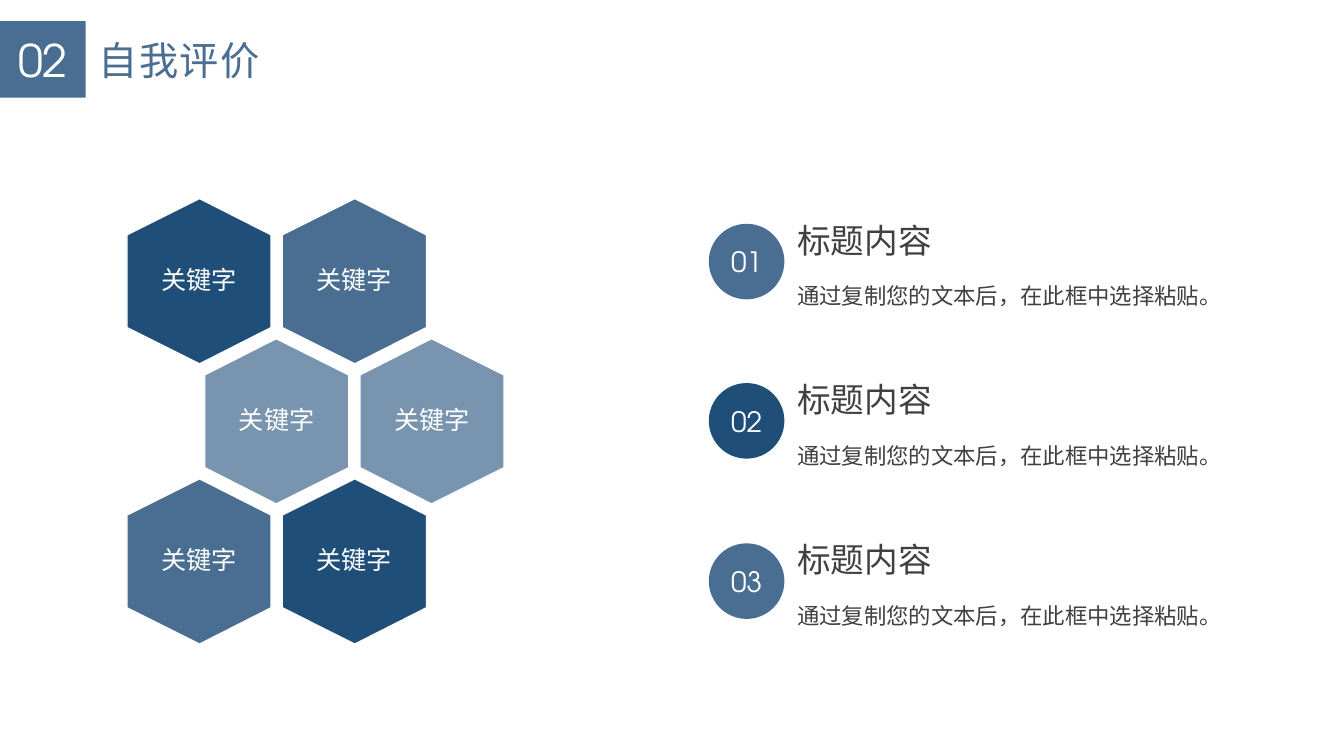
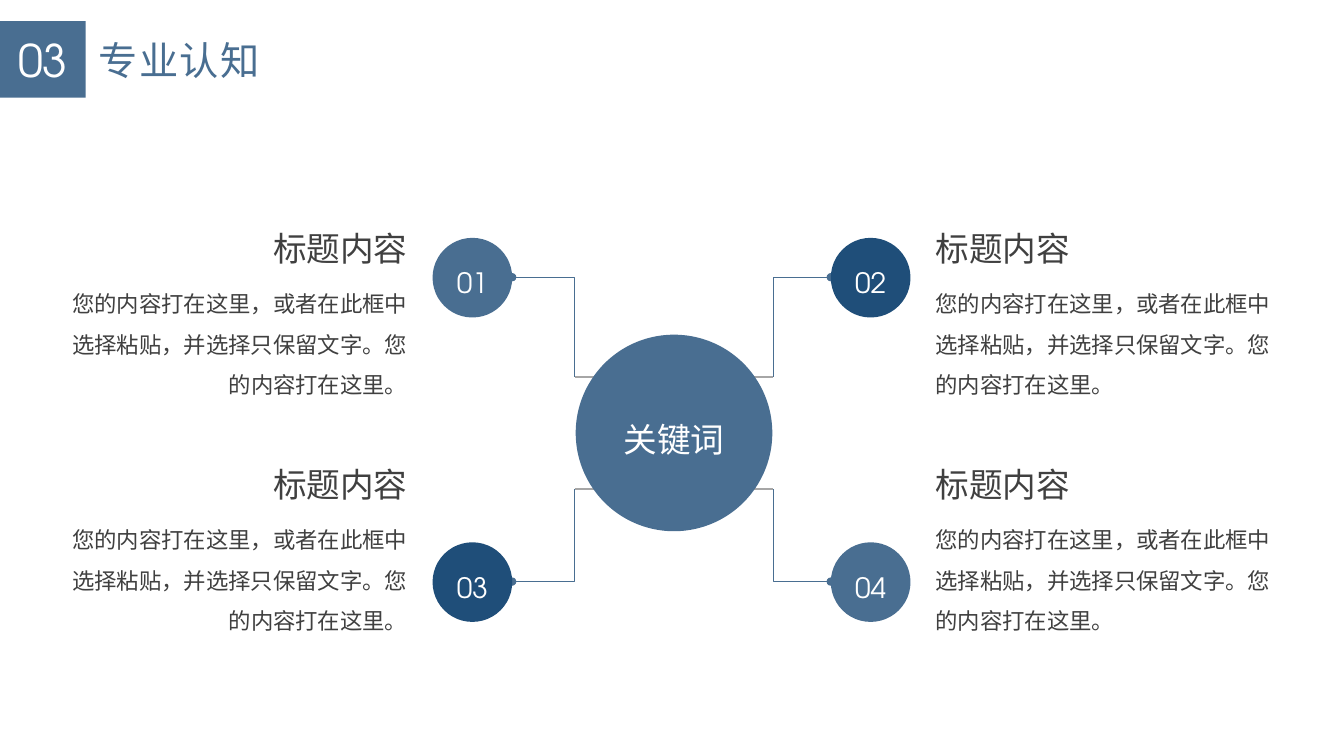
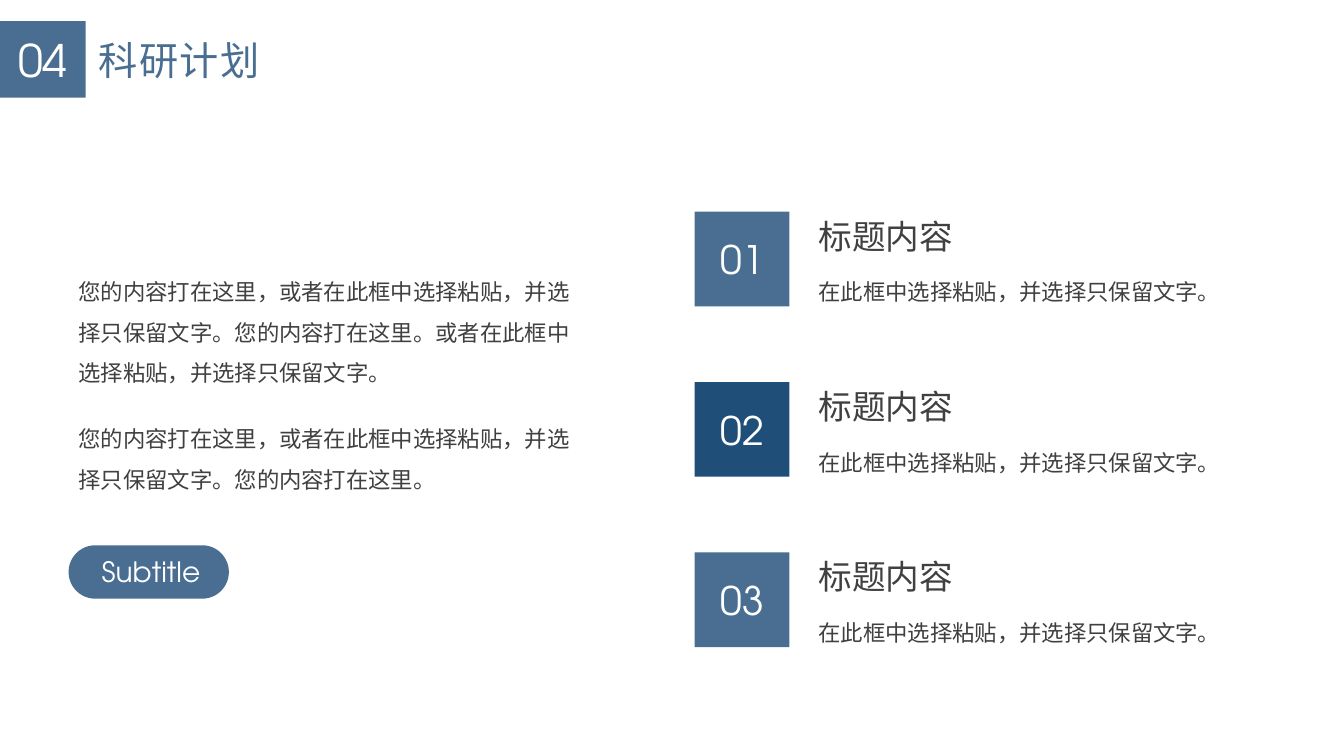
from lxml import etree
from pptx import Presentation
from pptx.dml.color import RGBColor
from pptx.enum.shapes import MSO_CONNECTOR, MSO_SHAPE
from pptx.enum.text import MSO_ANCHOR, MSO_AUTO_SIZE, PP_ALIGN
from pptx.oxml.ns import qn
from pptx.util import Pt

PX = 9144  # 100 px to the inch
WIDE, HIGH = 1333, 750
FONT = "TeX Gyre Adventor"

BLUE = RGBColor(0x49, 0x6E, 0x91)
NAVY = RGBColor(0x1F, 0x4E, 0x79)
INK = RGBColor(0x40, 0x40, 0x40)
GREY = RGBColor(0xA6, 0xA6, 0xA6)
WHITE = RGBColor(0xFF, 0xFF, 0xFF)

LEFT, MID, RIGHT = PP_ALIGN.LEFT, PP_ALIGN.CENTER, PP_ALIGN.RIGHT
TOP, CENTER = MSO_ANCHOR.TOP, MSO_ANCHOR.MIDDLE
FIT = MSO_AUTO_SIZE.SHAPE_TO_FIT_TEXT
RECT, OVAL, PILL = MSO_SHAPE.RECTANGLE, MSO_SHAPE.OVAL, MSO_SHAPE.ROUNDED_RECTANGLE
LINE, ELBOW = MSO_CONNECTOR.STRAIGHT, MSO_CONNECTOR.ELBOW

HEAD = "标题内容"
COPY = "您的内容打在这里，或者在此框中选择粘贴，并选择只保留文字。您的内容打在这里。"


def emu(*values):
    return [v * PX for v in values]


def write(frame, text, size, color, align=LEFT, anchor=TOP, spacing=None):
    frame.vertical_anchor = anchor
    para = frame.paragraphs[0]
    para.text = text
    para.alignment = align
    if spacing:
        para.line_spacing = spacing
    font = para.font
    font.name, font.size, font.color.rgb = FONT, Pt(size), color


def label(slide, box, text, size, color, wrap=False, **style):
    """Text box that grows with its text."""
    frame = slide.shapes.add_textbox(*emu(*box)).text_frame
    frame.word_wrap = wrap
    frame.auto_size = FIT
    write(frame, text, size, color, **style)
    return frame


def body(slide, box, text, align=LEFT):
    label(slide, box, text, 16, INK, wrap=True, align=align, spacing=1.5)


def paint(shape, fill):
    shape.shadow.inherit = False
    shape.fill.solid()
    shape.fill.fore_color.rgb = fill
    shape.line.fill.background()


def badge(slide, kind, box, fill, text, size, spacing=None):
    """Filled shape with centred white text."""
    shape = slide.shapes.add_shape(kind, *emu(*box))
    paint(shape, fill)
    write(shape.text_frame, text, size, WHITE, MID, CENTER, spacing)


def entry(slide, box, text, align=LEFT):
    """Heading with body text under it."""
    x, y, w, h = box
    head_w = 155
    head_x = x + w - head_w if align == RIGHT else x
    label(slide, (head_x, y, head_w, 50), HEAD, 24, INK, align=align)
    body(slide, (x, y + 49, w, h - 49), text, align)


def header(slide, number, title):
    frame = label(slide, (88, 31, 183, 57), title, 28, BLUE, anchor=CENTER)
    frame.paragraphs[0].runs[0].font._element.set("spc", "100")
    badge(slide, RECT, (0, 21, 85, 76), BLUE, number, 32)


def hexagon(slide, x, y, fill, alpha=None):
    w, h, cut = 143, 164, 36
    mid, end = x + w / 2, x + w
    path = slide.shapes.build_freeform(mid, y, scale=PX)
    path.add_line_segments([(end, y + cut), (end, y + h - cut), (mid, y + h),
                            (x, y + h - cut), (x, y + cut)])
    shape = path.convert_to_shape()
    paint(shape, fill)
    shape.line.color.rgb = WHITE
    shape.line.width = Pt(1)
    if alpha:
        tint = shape._element.spPr.find(qn("a:solidFill"))[0]
        etree.SubElement(tint, qn("a:alpha")).set("val", str(alpha * 1000))
    frame = shape.text_frame
    frame.margin_left = frame.margin_right = 22 * PX
    frame.margin_top = frame.margin_bottom = 26 * PX
    write(frame, "关键字", 18, WHITE, MID, CENTER, 0.9)


def comb(slide, x, y):
    """Three rows of two hexagons, the middle row shifted."""
    rows = [[(NAVY, None), (BLUE, None)],
            [(NAVY, 60), (NAVY, 60)],
            [(BLUE, None), (NAVY, None)]]
    for r, row in enumerate(rows):
        for c, (fill, alpha) in enumerate(row):
            hexagon(slide, x + c * 154 + r % 2 * 77, y + r * 139, fill, alpha)


def steps(slide, box, pitch, kind, side, drop, indent, size, text):
    """Three numbered entries, one below the other."""
    x, y, w, h = box
    for i, fill in enumerate((BLUE, NAVY, BLUE)):
        top = y + round(i * pitch)
        entry(slide, (x + indent, top, w - indent, h), text)
        badge(slide, kind, (x, top + drop, side, side), fill, f"0{i + 1}", size)


def link(slide, kind, start, end, color):
    line = slide.shapes.add_connector(kind, *emu(*start, *end))
    line.line.color.rgb = color
    line.line.width = Pt(1)
    props = line._element.spPr
    etree.SubElement(props, qn("a:effectLst"))
    if kind == ELBOW:
        props.find(qn("a:prstGeom")).set("prst", "bentConnector2")
        etree.SubElement(props.find(qn("a:ln")), qn("a:headEnd")).set("type", "oval")


def hub(slide, x, y):
    """Central circle wired to four numbered entries."""
    side, text_w, text_h = 79, 363, 176
    left, right = x + 378, x + 773
    inner, outer = x + 519, x + 716
    rows = [(y + 15, y + 153, y, (BLUE, NAVY)),
            (y + 317, y + 264, y + 234, (NAVY, BLUE))]
    for r, (top, bar, text_y, fills) in enumerate(rows):
        mid = top + side // 2
        link(slide, LINE, (inner, bar), (outer, bar), GREY)
        link(slide, ELBOW, (left + side, mid), (inner, bar), BLUE)
        link(slide, ELBOW, (right, mid), (outer, bar), BLUE)
        for c, bx in enumerate((left, right)):
            badge(slide, OVAL, (bx, top, side, side), fills[c],
                  f"0{2 * r + c + 1}", 20, 1.3)
        entry(slide, (x, text_y, text_w, text_h), COPY, RIGHT)
        entry(slide, (x + 867, text_y, text_w, text_h), COPY)
    badge(slide, OVAL, (x + 520, y + 111, 195, 195), BLUE, "关键词", 24, 1.3)


def intro(slide, x, y):
    """Two paragraphs above a pill."""
    more = COPY + "或者在此框中选择粘贴，并选择只保留文字。"
    body(slide, (x, y, 514, 126), more)
    body(slide, (x, y + 146, 514, 86), COPY)
    pill = slide.shapes.add_shape(PILL, *emu(x, y + 283, 159, 53))
    pill.adjustments[0] = 0.5
    paint(pill, BLUE)
    label(slide, (x + 23, y + 287, 119, 44), "Subtitle", 20, WHITE)


def review(slide):
    comb(slide, 126, 197)
    steps(slide, (703, 213, 504, 94), 158.5, OVAL, 75, 9, 78, 20,
          "通过复制您的文本后，在此框中选择粘贴。")


def outlook(slide):
    hub(slide, 51, 221)


def research(slide):
    steps(slide, (689, 209, 576, 95), 169, RECT, 94, 1, 113, 28,
          "在此框中选择粘贴，并选择只保留文字。")
    intro(slide, 68, 258)


def main():
    deck = Presentation()
    deck.slide_width, deck.slide_height = emu(WIDE, HIGH)
    pages = [("02", "自我评价", review),
             ("03", "专业认知", outlook),
             ("04", "科研计划", research)]
    for number, title, fill_page in pages:
        slide = deck.slides.add_slide(deck.slide_layouts[6])
        fill_page(slide)
        header(slide, number, title)
    deck.save("out.pptx")


if __name__ == "__main__":
    main()
